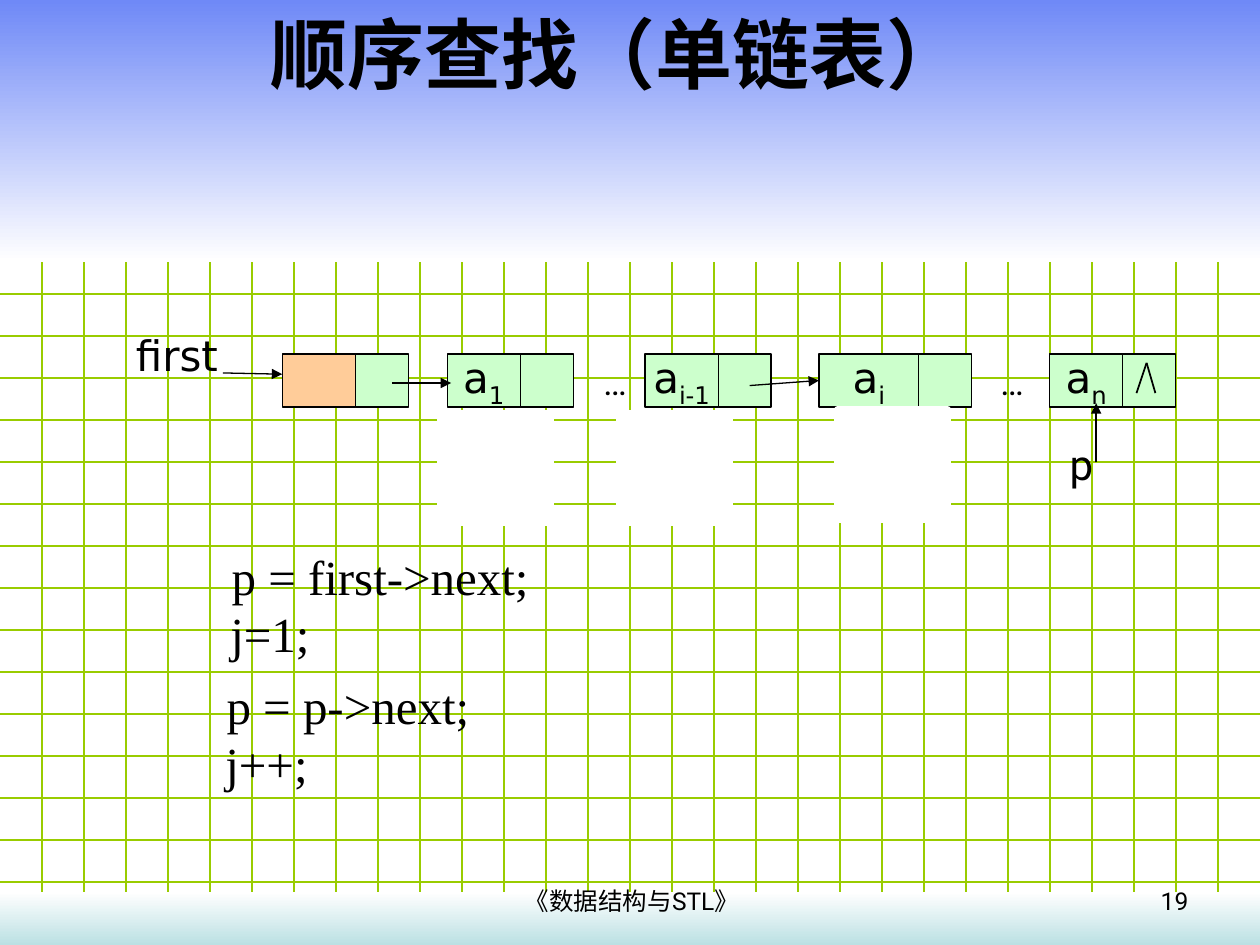
from dataclasses import dataclass

from lxml import etree
from pptx import Presentation
from pptx.dml.color import RGBColor
from pptx.enum.shapes import MSO_CONNECTOR, MSO_SHAPE
from pptx.enum.text import MSO_ANCHOR, PP_ALIGN
from pptx.oxml.ns import qn
from pptx.util import Inches, Pt

RECT = MSO_SHAPE.RECTANGLE
STRAIGHT = MSO_CONNECTOR.STRAIGHT
TOP, MIDDLE = MSO_ANCHOR.TOP, MSO_ANCHOR.MIDDLE
LEFT, CENTER, RIGHT = PP_ALIGN.LEFT, PP_ALIGN.CENTER, PP_ALIGN.RIGHT

BLACK, WHITE = "000000", "FFFFFF"
GRID, GREEN, ORANGE = "99CC00", "CCFFCC", "FFCC99"
SANS, CODE, LABEL = "DejaVu Sans", "Times New Roman", "Roboto"
W, H = 10, 7.5
BAND_TOP, BAND_BOTTOM = 2.08, 7.08
NODE_Y, CELL = 2.81, 0.42


@dataclass
class Node:
    x: float
    data_w: float = 0.58
    sub: str = ""
    fill: str = GREEN


@dataclass
class Label:
    text: str
    x: float
    y: float
    w: float
    h: float
    size: float
    font: str
    align: PP_ALIGN = LEFT
    anchor: MSO_ANCHOR = TOP
    bold: bool = False
    spacing: float = 1.0


@dataclass
class Line:
    x1: float
    y1: float
    x2: float
    y2: float
    width: float = 0.75
    arrow: bool = True
    color: str = BLACK


NODES = [
    Node(2.24, fill=ORANGE),
    Node(3.55, sub="1"),
    Node(5.12, sub="i-1"),
    Node(6.5, 0.79, "i"),
    Node(8.33, sub="n"),
]
LINKS = [Line(1.77, 2.96, 2.24, 2.97), Line(3.11, 3.04, 3.58, 3.04)]
MARKS = [
    Line(9.1, 2.88, 9.02, 3.12, 1, False),
    Line(9.1, 2.88, 9.17, 3.12, 1, False),
    Line(8.7, 3.67, 8.7, 3.2, 1),
]
BLANKS = [(3.5, 3.28), (4.92, 3.28), (6.65, 3.25)]
CODE_LINES = [
    ("p = first->next;", 1.74, 4.38),
    ("j=1;", 1.73, 4.83),
    ("p = p->next;", 1.7, 5.4),
    ("j++;", 1.69, 5.86),
]
LABELS = [
    Label("顺序查找（单链表）", 0, 0, 9.8, 0.84, 44, "Arial", CENTER, MIDDLE, True),
    Label("first", 0.98, 2.57, 0.94, 0.5, 24, SANS),
    Label("…", 4.69, 2.81, 0.39, 0.44, 20, LABEL),
    Label("…", 7.84, 2.81, 0.39, 0.44, 20, LABEL),
    Label("p", 8.39, 3.43, 0.47, 0.5, 24, LABEL),
    *[Label(t, x, y, 4.17, 0.48, 28, CODE, spacing=0.8) for t, x, y in CODE_LINES],
    Label("《数据结构与STL》", 3.43, 6.98, 3.17, 0.36, 14, LABEL, CENTER),
    Label("19", 7.2, 6.98, 2.33, 0.36, 14, LABEL, RIGHT),
]


def rgb(color: str) -> RGBColor:
    """Return the colour of a hex string."""
    return RGBColor.from_string(color)


def add_rect(s, x: float, y: float, w: float, h: float, fill: str, line: str, width: float = 0.75):
    """Draw a plain outlined rectangle."""
    sp = s.shapes.add_shape(RECT, Inches(x), Inches(y), Inches(w), Inches(h))
    sp.shadow.inherit = False
    sp.fill.solid()
    sp.fill.fore_color.rgb = rgb(fill)
    sp.line.color.rgb = rgb(line)
    sp.line.width = Pt(width)
    return sp


def add_band(s, y: float, h: float, top: str, bottom: str) -> None:
    """Draw a full-width band fading from top to bottom."""
    sp = s.shapes.add_shape(RECT, 0, Inches(y), Inches(W), Inches(h))
    sp.shadow.inherit = False
    sp.line.fill.background()
    sp.fill.gradient()
    sp.fill.gradient_angle = 270
    for stop, color in zip(sp.fill.gradient_stops, (top, bottom)):
        stop.color.rgb = rgb(color)


def add_line(s, line: Line):
    """Draw a straight line, with an arrowhead at its end if asked."""
    ends = [Inches(v) for v in (line.x1, line.y1, line.x2, line.y2)]
    cxn = s.shapes.add_connector(STRAIGHT, *ends)
    cxn.line.color.rgb = rgb(line.color)
    cxn.line.width = Pt(line.width)
    if line.arrow:
        etree.SubElement(cxn.line._get_or_add_ln(), qn("a:tailEnd"), type="triangle")
    etree.SubElement(cxn._element.spPr, qn("a:effectLst"))
    return cxn


def format_run(r, size: float, font: str, bold: bool = False) -> None:
    """Set the font of a run."""
    r.font.size = Pt(size)
    r.font.name = font
    r.font.bold = bold
    r.font.color.rgb = rgb(BLACK)


def add_label(s, label: Label) -> None:
    """Draw a one-line text box."""
    box = [Inches(v) for v in (label.x, label.y, label.w, label.h)]
    tf = s.shapes.add_textbox(*box).text_frame
    tf.word_wrap = True
    tf.vertical_anchor = label.anchor
    tf.text = label.text
    p = tf.paragraphs[0]
    p.alignment = label.align
    p.line_spacing = label.spacing
    format_run(p.runs[0], label.size, label.font, label.bold)


def add_node(s, node: Node):
    """Draw a list node and return its data cell."""
    sp = add_rect(s, node.x, NODE_Y, node.data_w, CELL, node.fill, BLACK)
    add_rect(s, node.x + node.data_w, NODE_Y, CELL, CELL, GREEN, BLACK)
    if node.sub:
        tf = sp.text_frame
        tf.word_wrap = False
        tf.vertical_anchor = MIDDLE
        p = tf.paragraphs[0]
        p.alignment = CENTER
        for text in ("a", node.sub):
            r = p.add_run()
            r.text = text
            format_run(r, 24, SANS)
        r.font._element.set("baseline", "-25000")
    return sp


def main() -> None:
    """Build the slide and save it."""
    prs = Presentation()
    prs.slide_width, prs.slide_height = Inches(W), Inches(H)
    s = prs.slides.add_slide(prs.slide_layouts[6])
    for i in range(7, 22):
        add_line(s, Line(0, i / 3, W, i / 3, arrow=False, color=GRID))
    for i in range(1, 30):
        add_line(s, Line(i / 3, 0, i / 3, H, arrow=False, color=GRID))
    add_band(s, 0, BAND_TOP, "6F89F7", WHITE)
    add_band(s, BAND_BOTTOM, H - BAND_BOTTOM, WHITE, "BBE0E3")
    cells = [add_node(s, node) for node in NODES]
    for link in LINKS:
        add_line(s, link)
    add_line(s, Line(5.95, 3.06, 6.5, 3.02)).end_connect(cells[3], 1)
    for x, y in BLANKS:
        add_rect(s, x, y, 0.87, 0.87, WHITE, WHITE, 4)
    for mark in MARKS:
        add_line(s, mark)
    for label in LABELS:
        add_label(s, label)
    prs.save("out.pptx")


if __name__ == "__main__":
    main()
